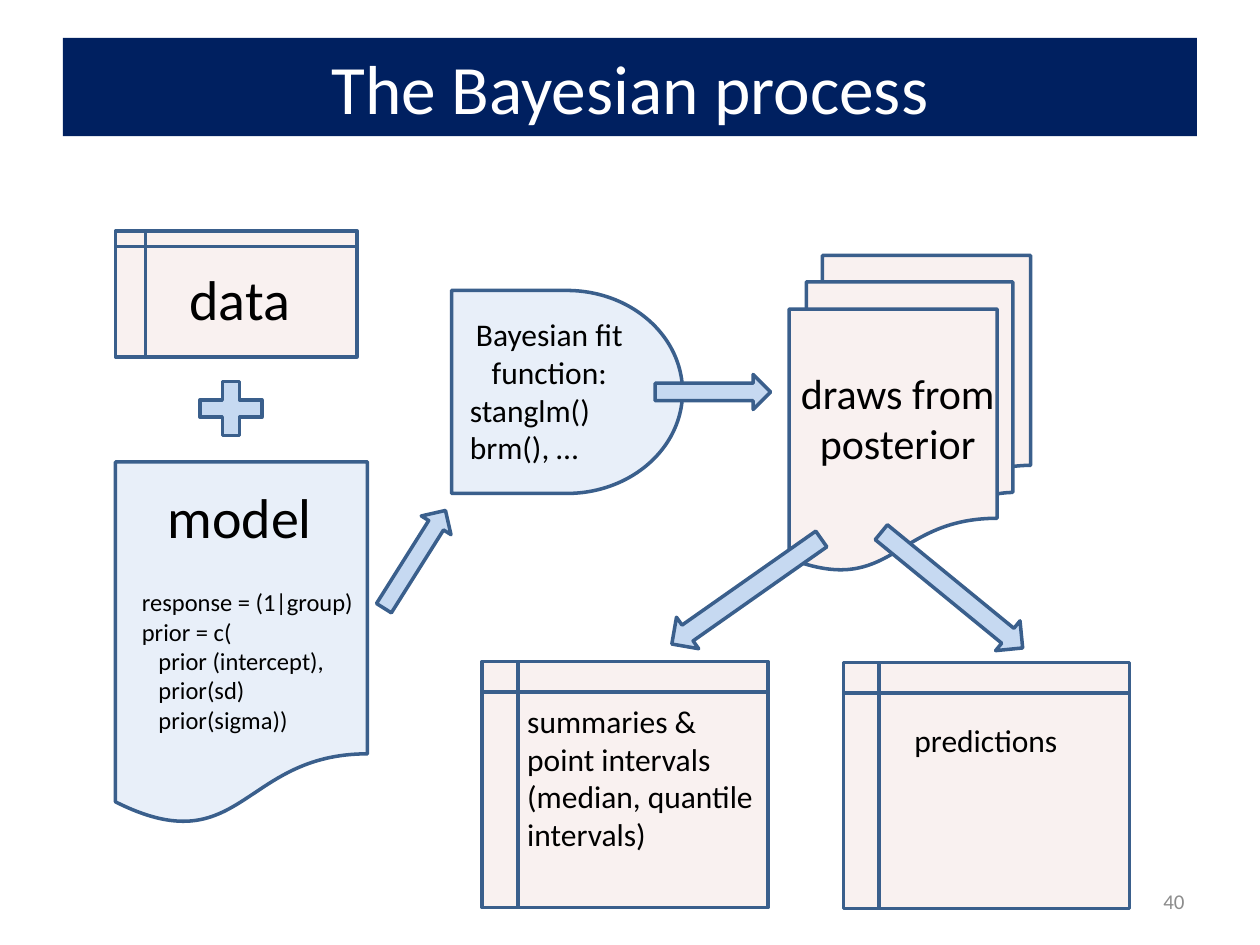
import enum

import lxml.etree
import pptx
import pptx.dml.color
import pptx.enum.shapes
import pptx.enum.text
import pptx.oxml.ns
import pptx.util

Pt = pptx.util.Pt
RGB = pptx.dml.color.RGBColor.from_string
SHAPE = pptx.enum.shapes.MSO_SHAPE
ALIGN = pptx.enum.text.PP_ALIGN
ANCHOR = pptx.enum.text.MSO_ANCHOR
qn = pptx.oxml.ns.qn


class Theme:
    font = "Calibri"
    navy, white, black, grey = "002060", "FFFFFF", "000000", "8C8C8C"
    pink, blue, outline = "F2DCDB", "C6D9F1", "3A5F8C"
    title, heading, large, body, code, small = 39.6, 32, 24, 18, 14, 12
    line = 2
    tint = 40000


prs = pptx.Presentation()
prs.slide_width, prs.slide_height = Pt(720), Pt(540)
s = prs.slides.add_slide(prs.slide_layouts[6])


def add_block(kind, box, fill, rotation=0, tinted=False, outlined=True):
    sp = s.shapes.add_shape(kind, *map(Pt, box))
    sp.shadow.inherit = False
    sp.rotation = rotation
    sp.fill.solid()
    sp.fill.fore_color.rgb = RGB(fill)
    if tinted:
        color = sp._element.spPr.find(qn("a:solidFill"))[0]
        lxml.etree.SubElement(color, qn("a:alpha"), val=str(Theme.tint))
    if outlined:
        sp.line.color.rgb = RGB(Theme.outline)
        sp.line.width = Pt(Theme.line)
    else:
        sp.line.fill.background()
    return sp


def write(sp, lines, size, color=Theme.black, anchor=ANCHOR.TOP):
    """Fill a shape with (alignment, text) lines."""
    tf = sp.text_frame
    tf.word_wrap = True
    tf.vertical_anchor = anchor
    for i, (align, text) in enumerate(lines):
        p = tf.add_paragraph() if i else tf.paragraphs[0]
        p.alignment = align
        r = p.add_run()
        r.text = text
        r.font.name = Theme.font
        r.font.size = Pt(size)
        r.font.color.rgb = RGB(color)


title = add_block(SHAPE.RECTANGLE, (36, 21.6, 648, 56.2), Theme.navy, outlined=False)
write(title, [(ALIGN.CENTER, "The Bayesian process")], Theme.title, Theme.white, ANCHOR.MIDDLE)

number = s.shapes.add_textbox(Pt(516), Pt(500.5), Pt(168), Pt(28.75))
write(number, [(ALIGN.RIGHT, "40")], Theme.small, Theme.grey, ANCHOR.MIDDLE)

# Stages of the process
for kind, box, fill in (
    (SHAPE.FLOWCHART_INTERNAL_STORAGE, (66, 132, 138, 72), Theme.pink),
    (SHAPE.FLOWCHART_DOCUMENT, (66, 264, 144, 208), Theme.blue),
    (SHAPE.FLOWCHART_DELAY, (258, 166, 132, 116), Theme.blue),
    (SHAPE.FLOWCHART_MULTIDOCUMENT, (451, 146, 138, 180), Theme.pink),
    (SHAPE.FLOWCHART_INTERNAL_STORAGE, (275.5, 378, 163.5, 140.5), Theme.pink),
    (SHAPE.FLOWCHART_INTERNAL_STORAGE, (482, 378.5, 163.5, 140.5), Theme.pink),
):
    add_block(kind, box, fill, tinted=True)

# Text of the stages
C, L = ALIGN.CENTER, ALIGN.LEFT
for box, size, lines in (
    ((83, 147.5, 108, 46), Theme.heading, [(C, "data")]),
    ((83, 272, 108, 46), Theme.heading, [(C, "model")]),
    ((74, 332, 163.5, 92), Theme.code, [
        (L, "response = (1|group)"),
        (L, "prior = c("),
        (L, "   prior (intercept),"),
        (L, "   prior(sd)"),
        (L, "   prior(sigma))"),
    ]),
    ((444, 206.5, 138, 65.5), Theme.large, [(C, "draws from posterior")]),
    ((261.4, 176.5, 105, 94.5), Theme.body, [
        (C, "Bayesian fit function:"),
        (L, "stanglm()"),
        (L, "brm(), …"),
    ]),
    ((294.2, 397.5, 144, 94.5), Theme.body,
     [(L, "summaries & point intervals (median, quantile intervals)")]),
    ((515.5, 408.5, 114, 29), Theme.body, [(L, "predictions")]),
):
    write(s.shapes.add_textbox(*map(Pt, box)), lines, size)

# Plus sign and arrows between the stages
add_block(SHAPE.MATH_PLUS, (108, 212.5, 48, 42), Theme.blue)
for box, rotation in (
    ((204, 309.6, 66, 20), 302.2),
    ((374.4, 214, 66, 20), 0),
    ((374.4, 327, 104.4, 22), 144.9),
    ((491.8, 326.2, 104.4, 22), 39.3),
):
    add_block(SHAPE.RIGHT_ARROW, box, Theme.blue, rotation)

prs.save("out.pptx")
